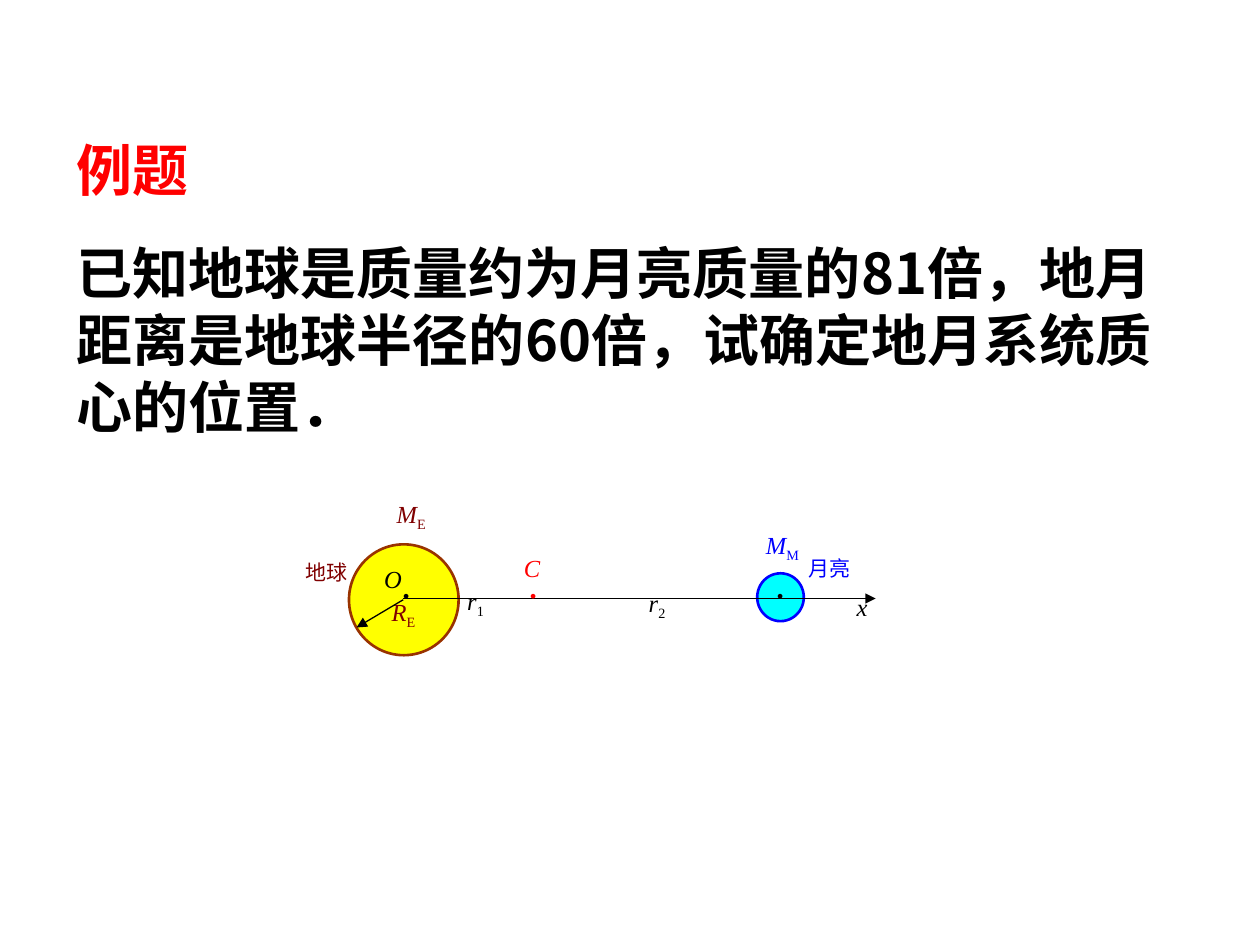
from lxml.etree import SubElement
from pptx import Presentation
from pptx.dml.color import RGBColor
from pptx.enum.shapes import MSO_CONNECTOR, MSO_SHAPE
from pptx.oxml.ns import qn
from pptx.util import Inches, Pt

BLACK = RGBColor(0x00, 0x00, 0x00)
RED = RGBColor(0xFF, 0x00, 0x00)
MAROON = RGBColor(0x80, 0x00, 0x00)
BROWN = RGBColor(0x99, 0x33, 0x00)
YELLOW = RGBColor(0xFF, 0xFF, 0x00)
CYAN = RGBColor(0x00, 0xFF, 0xFF)
BLUE = RGBColor(0x00, 0x00, 0xFF)
CJK_FONT = "Noto Sans CJK SC"
SERIF_FONT = "Times New Roman"


def format_run(run, size, color, font_name, bold=False, italic=False):
    """Set the look of a run, with one font for all Chinese text."""
    font = run.font
    font.size, font.name = Pt(size), font_name
    font.bold, font.italic = bold, italic
    font.color.rgb = color
    SubElement(run._r.get_or_add_rPr(), qn("a:ea"), typeface=CJK_FONT)


def add_label(shapes, left, top, text, color, subscript="", size=14,
              font_name=SERIF_FONT, italic=True, width=0.62, height=0.43):
    """Add a diagram label with an optional subscript."""
    text_frame = shapes.add_textbox(
        Inches(left), Inches(top), Inches(width), Inches(height)).text_frame
    text_frame.word_wrap = True
    paragraph = text_frame.paragraphs[0]
    paragraph.text = text
    format_run(paragraph.runs[0], size, color, font_name, italic=italic)
    if subscript:
        run = paragraph.add_run()
        run.text = subscript
        format_run(run, size, color, font_name)
        run._r.get_or_add_rPr().set("baseline", "-25000")


def add_body(shapes, left, top, width, height, fill, outline):
    """Add the disc of a celestial body."""
    disc = shapes.add_shape(MSO_SHAPE.OVAL, Inches(left), Inches(top),
                            Inches(width), Inches(height))
    disc.shadow.inherit = False
    disc.fill.solid()
    disc.fill.fore_color.rgb = fill
    disc.line.color.rgb = outline
    disc.line.width = Pt(1.5)


def add_line(shapes, start, end, arrow=False):
    """Add a thin black line, with an arrowhead at its end if asked."""
    line = shapes.add_connector(MSO_CONNECTOR.STRAIGHT,
                                *map(Inches, (*start, *end)))
    line.line.color.rgb = BLACK
    line.line.width = Pt(0.75)
    if arrow:
        SubElement(line.line._get_or_add_ln(), qn("a:tailEnd"), type="triangle")
    SubElement(line._element.spPr, qn("a:effectLst"))


def add_problem(slide, left, top, width, height):
    """Add the heading and the wording of the problem."""
    text_frame = slide.shapes.add_textbox(
        Inches(left), Inches(top), Inches(width), Inches(height)).text_frame
    text_frame.word_wrap = True
    text_frame.text = (
        "例题\n已知地球是质量约为月亮质量的81倍，"
        "地月距离是地球半径的60倍，试确定地月系统质心的位置．")
    heading, question = text_frame.paragraphs
    question.space_before = Pt(20)
    for paragraph, color in ((heading, RED), (question, BLACK)):
        paragraph.line_spacing = Pt(38.4)
        format_run(paragraph.runs[0], 32, color, CJK_FONT, bold=True)


def add_diagram(slide, left, top):
    """Add the Earth and Moon on the x axis, with their labels."""
    shapes = slide.shapes.add_group_shape().shapes
    axis = top + 0.84
    earth, moon = left + 0.87, left + 3.87
    add_body(shapes, left + 0.44, top + 0.41, 0.87, 0.88, YELLOW, BROWN)
    add_body(shapes, left + 3.68, top + 0.64, 0.37, 0.38, CYAN, BLUE)
    add_line(shapes, (earth, axis), (moon, axis))
    for x, color in ((1.78, RED), (0.77, BLACK), (3.74, BLACK)):
        add_label(shapes, left + x, top + 0.68, "•", color, size=10,
                  font_name="Arial", italic=False)
    for x, y, text, subscript, color in (
            (1.73, 0.43, "C", "", RED),
            (0.68, 0.78, "R", "E", MAROON),
            (1.28, 0.69, "r", "1", BLACK),
            (2.72, 0.71, "r", "2", BLACK),
            (0.72, 0.00, "M", "E", MAROON),
            (3.65, 0.25, "M", "M", BLUE)):
        add_label(shapes, left + x, top + y, text, color, subscript)
    add_line(shapes, (earth, axis + 0.01), (left + 0.5, axis + 0.23), arrow=True)
    add_line(shapes, (moon, axis), (left + 4.62, axis), arrow=True)
    for x, y, text in ((0.62, 0.52, "O"), (4.37, 0.74, "x")):
        add_label(shapes, left + x, top + y, text, BLACK, width=0.5, height=0.54)
    for x, y, text, color in ((0, 0.48, "地球", MAROON), (3.99, 0.45, "月亮", BLUE)):
        add_label(shapes, left + x, top + y, text, color, size=12,
                  italic=False, width=0.75)


def main():
    """Build the slide and save it."""
    presentation = Presentation()
    presentation.slide_width = Inches(10)
    presentation.slide_height = Inches(7.5)
    slide = presentation.slides.add_slide(presentation.slide_layouts[6])
    add_diagram(slide, 2.33, 3.91)
    add_problem(slide, 0.51, 1.03, 8.9, 2.51)
    presentation.save("out.pptx")


if __name__ == "__main__":
    main()
